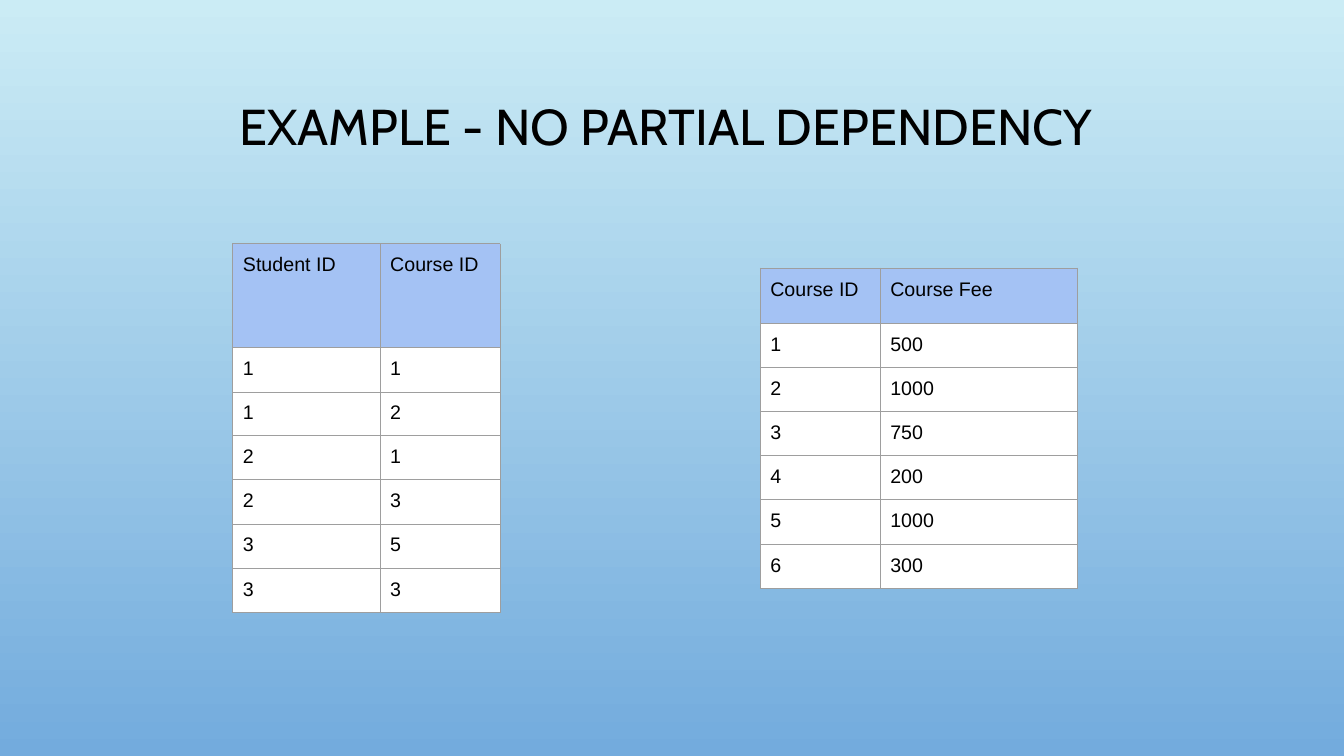
from lxml.etree import SubElement
from pptx import Presentation
from pptx.dml.color import RGBColor
from pptx.enum.text import MSO_ANCHOR, PP_ALIGN
from pptx.oxml.ns import qn
from pptx.util import Inches, Pt

# Colours
SKY = RGBColor(0xCB, 0xEC, 0xF5)
BLUE = RGBColor(0x73, 0xAB, 0xDD)
HEAD = RGBColor(0xA4, 0xC2, 0xF4)
WHITE = RGBColor(0xFF, 0xFF, 0xFF)
BLACK = RGBColor(0x00, 0x00, 0x00)
GRAY = RGBColor(0x9E, 0x9E, 0x9E)


def assign(item, values):
    for name, value in values.items():
        setattr(item, name, value)


class Deck:
    title_font = {"name": "Cabin", "size": Pt(36), "bold": False}
    cell_font = {"name": "Arial", "size": Pt(14), "bold": False}
    pad = dict.fromkeys(
        ("margin_left", "margin_top", "margin_right", "margin_bottom"), Inches(0.1))

    def __init__(self):
        self.show = Presentation()
        self.show.slide_width = Inches(13.33)
        self.show.slide_height = Inches(7.5)
        self.slide = self.show.slides.add_slide(self.show.slide_layouts[5])

    def backdrop(self, top, base):
        fill = self.slide.background.fill
        fill.gradient()
        fill.gradient_angle = 270
        for stop, color, place in zip(fill.gradient_stops, (top, base), (0, 1)):
            stop.color.rgb = color
            stop.position = place

    def label(self, para, text, font):
        para.text = text
        assign(para.font, font)
        para.font.color.rgb = BLACK

    def title(self, text):
        shape = self.slide.shapes.title
        assign(shape, {"left": Inches(1), "top": Inches(0.68),
                       "width": Inches(11.33), "height": Inches(1.75)})
        # The deep bottom margin lifts the line above the middle of the box
        assign(shape.text_frame, {
            "word_wrap": True, "vertical_anchor": MSO_ANCHOR.MIDDLE,
            "margin_left": Inches(0.1), "margin_right": Inches(0.22),
            "margin_top": Inches(0.05), "margin_bottom": Inches(0.6)})
        para = shape.text_frame.paragraphs[0]
        self.label(para, text, self.title_font)
        assign(para, {"alignment": PP_ALIGN.CENTER, "line_spacing": 0.9})

    def border(self, cell):
        props = cell._tc.get_or_add_tcPr()
        for side in ("lnL", "lnR", "lnT", "lnB"):
            line = SubElement(props, qn(f"a:{side}"), w=str(Pt(0.75)))
            fill = SubElement(line, qn("a:solidFill"))
            SubElement(fill, qn("a:srgbClr"), val=str(GRAY))

    def table(self, left, top, widths, heights, rows):
        frame = self.slide.shapes.add_table(
            len(rows), len(widths), Inches(left), Inches(top),
            Inches(sum(widths)), Inches(sum(heights)))
        grid = frame.table
        assign(grid, {"first_row": False, "horz_banding": False})
        for col, width in zip(grid.columns, widths):
            col.width = Inches(width)
        for i, (row, height) in enumerate(zip(grid.rows, heights)):
            row.height = Inches(height)
            for cell, text in zip(row.cells, rows[i]):
                assign(cell, self.pad)
                self.border(cell)
                cell.fill.solid()
                cell.fill.fore_color.rgb = WHITE if i else HEAD
                self.label(cell.text_frame.paragraphs[0], text, self.cell_font)


def main():
    deck = Deck()
    deck.backdrop(SKY, BLUE)
    deck.title("EXAMPLE - NO PARTIAL DEPENDENCY")
    body = [0.44, 0.43] + [0.44] * 4

    # Students and their courses
    deck.table(2.31, 2.42, [1.46, 1.19], [1.03] + body, [
        ("Student ID", "Course ID"),
        ("1", "1"), ("1", "2"), ("2", "1"),
        ("2", "3"), ("3", "5"), ("3", "3")])

    # Courses and their fees
    deck.table(7.54, 2.66, [1.19, 1.96], [0.55] + body, [
        ("Course ID", "Course Fee"),
        ("1", "500"), ("2", "1000"), ("3", "750"),
        ("4", "200"), ("5", "1000"), ("6", "300")])

    deck.show.save("out.pptx")


if __name__ == "__main__":
    main()
